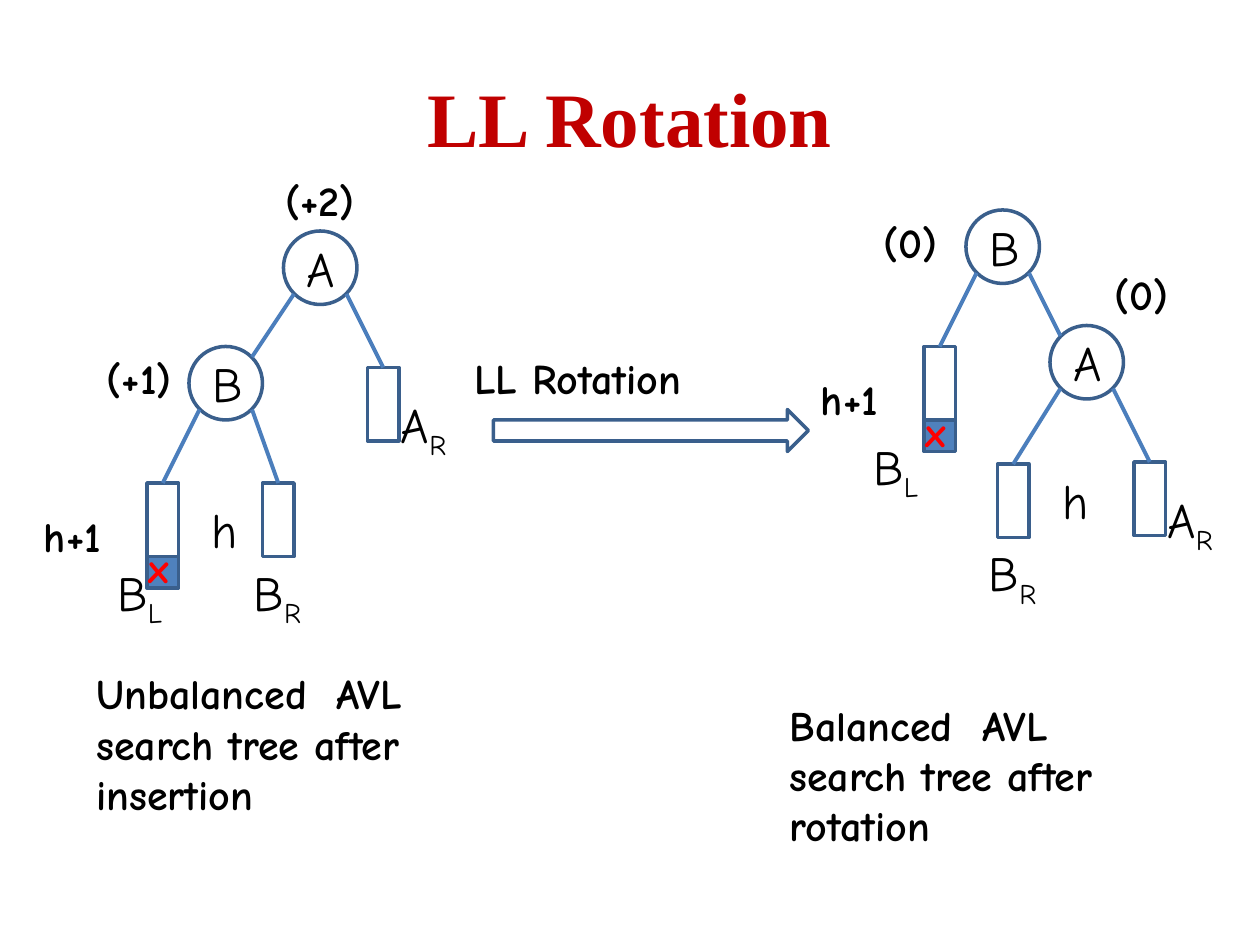
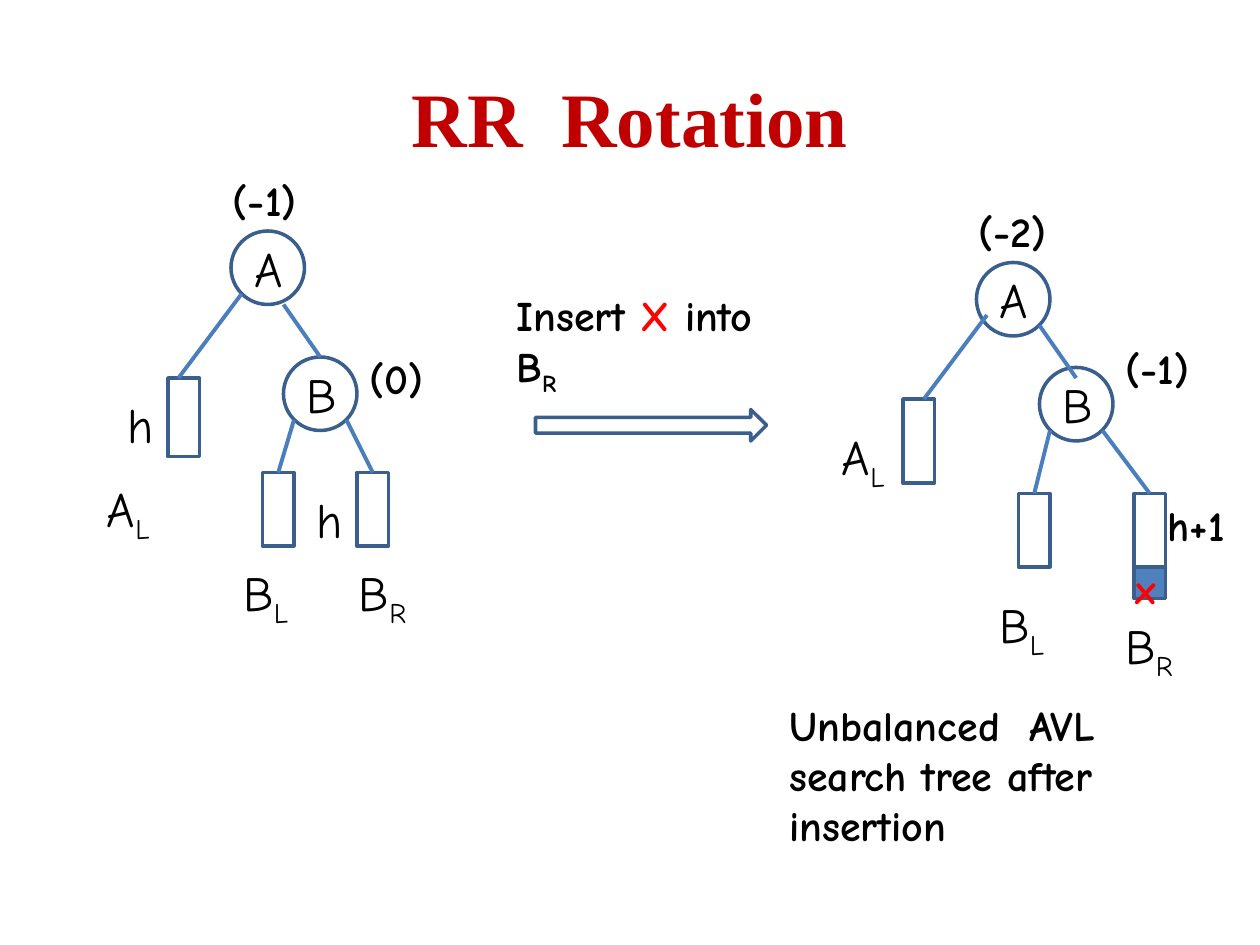
"""Build two slides on the LL and RR rotations of AVL search trees."""
from lxml.etree import SubElement
from pptx import Presentation
from pptx.dml.color import RGBColor
from pptx.enum.shapes import MSO_CONNECTOR, MSO_SHAPE
from pptx.enum.text import MSO_ANCHOR, MSO_AUTO_SIZE, PP_ALIGN
from pptx.oxml.ns import qn
from pptx.util import Inches, Pt

TITLE_RED = RGBColor(0xC0, 0x00, 0x00)
MARK_RED = RGBColor(0xFF, 0x00, 0x00)
BLACK = RGBColor(0x00, 0x00, 0x00)
MARK_BLUE = RGBColor(0x4F, 0x81, 0xBD)
OUTLINE = RGBColor(0x3A, 0x5F, 0x8C)
EDGE = RGBColor(0x4B, 0x7E, 0xBC)
TITLE_FONT = "Times New Roman"
BODY_FONT = "Comic Neue"

prs = Presentation()
prs.slide_width, prs.slide_height = Inches(10), Inches(7.5)
COL = prs.slide_width / 120
ROW = prs.slide_height / 90

NODE = 7
BOX_W = 3
LABEL_W = 10
CAPTION_W, CAPTION_H = 38, 15.75
STEP_W = 26

SLIDES = [
    {
        "title": "LL Rotation",
        "arrow": (47, 39, 30, 4),
        "step": (44, 33, 6, [("LL Rotation", BLACK, False)]),
        "nodes": [("A", 27, 22), ("B", 18, 33), ("B", 92, 20), ("A", 100, 31)],
        "boxes": [(35, 35, 7), (25, 46, 7), (14, 46, 7),
                  (88, 33, 7), (95, 44.2, 7), (108, 44, 7)],
        "marks": [(14, 53), (88, 40)],
        "edges": [(28, 28, 24, 34), (33, 28, 36.5, 35),
                  (19, 39, 15.5, 46), (24, 39, 26.5, 46),
                  (93, 26, 89.5, 33), (98, 26, 101, 32),
                  (101, 37, 96.5, 44.2), (106, 37, 109.5, 44)],
        "subtrees": [("A", "R", 37, 37), ("B", "L", 10, 53), ("B", "R", 23, 53),
                     ("A", "R", 110, 46), ("B", "R", 93, 51.1), ("B", "L", 82, 41)],
        "heights": [(19, 47), (100, 44.2)],
        "values": [("(+2)", 26, 16), ("(+1)", 9, 33), ("h+1", 3, 48),
                   ("(0)", 83, 20), ("(0)", 105, 25), ("h+1", 77, 35)],
        "crosses": [(13, 51), (87, 38)],
        "captions": [("Unbalanced  AVL search tree after insertion", 8, 63),
                     ("Balanced  AVL search tree after rotation", 74, 66)],
    },
    {
        "title": "RR  Rotation",
        "arrow": (51, 39, 22, 3),
        "step": (48, 27, 10.9, [("Insert ", BLACK, False), ("X ", MARK_RED, False),
                                ("into B", BLACK, False), ("R", BLACK, True)]),
        "nodes": [("A", 22, 22), ("B", 27, 34), ("A", 93, 25), ("B", 99, 35)],
        "boxes": [(16, 36, 7.5), (25, 45, 7), (34, 45, 7),
                  (86, 38, 8), (97, 47, 7), (108, 47, 7)],
        "marks": [(108, 54)],
        "edges": [(23, 28, 17, 36), (27, 29, 30.5, 34),
                  (28, 40, 26.5, 45), (33, 40, 35.5, 45),
                  (94, 30, 88, 38), (99, 31, 102.5, 36),
                  (100, 41, 98.5, 47), (105, 41, 109.5, 47)],
        "subtrees": [("A", "L", 9, 45), ("B", "L", 22, 53), ("B", "R", 33, 53),
                     ("A", "L", 79, 40), ("B", "L", 94, 56), ("B", "R", 106, 58)],
        "heights": [(11, 37), (29, 46)],
        "values": [("(-1)", 21, 16), ("(0)", 34, 33),
                   ("(-2)", 92, 19), ("(-1)", 106, 32), ("h+1", 110, 47)],
        "crosses": [(107, 53)],
        "captions": [("Unbalanced  AVL search tree after insertion", 74, 66)],
    },
]


def add_outline(s, kind, x, y, w, h):
    sp = s.shapes.add_shape(kind, int(x * COL), int(y * ROW), int(w * COL), int(h * ROW))
    sp.shadow.inherit = False
    sp.fill.background()
    sp.line.color.rgb = OUTLINE
    sp.line.width = Pt(2)
    return sp


def add_text(s, x, y, w, h, runs, size=24, bold=True):
    sp = s.shapes.add_textbox(int(x * COL), int(y * ROW), int(w * COL), int(h * ROW))
    tf = sp.text_frame
    tf.word_wrap = True
    tf.auto_size = MSO_AUTO_SIZE.SHAPE_TO_FIT_TEXT
    for text, color, subscript in runs:
        r = tf.paragraphs[0].add_run()
        r.text = text
        r.font.name, r.font.size, r.font.bold = BODY_FONT, Pt(size), bold
        r.font.color.rgb = color
        if subscript:
            r.font._element.set("baseline", "-25000")


for spec_of_slide in SLIDES:
    d = spec_of_slide
    s = prs.slides.add_slide(prs.slide_layouts[5])

    title = s.shapes.title
    title.left, title.top = Inches(0.5), Inches(0.3)
    title.width, title.height = Inches(9), Inches(1.25)
    title.text_frame.vertical_anchor = MSO_ANCHOR.MIDDLE
    p = title.text_frame.paragraphs[0]
    p.alignment = PP_ALIGN.CENTER
    r = p.add_run()
    r.text = d["title"]
    r.font.name, r.font.size, r.font.bold = TITLE_FONT, Pt(44), True
    r.font.color.rgb = TITLE_RED

    add_outline(s, MSO_SHAPE.RIGHT_ARROW, *d["arrow"])
    x, y, h, runs = d["step"]
    add_text(s, x, y, STEP_W, h, runs)

    for x, y in d["marks"]:
        sp = add_outline(s, MSO_SHAPE.RECTANGLE, x, y, BOX_W, BOX_W)
        sp.fill.solid()
        sp.fill.fore_color.rgb = MARK_BLUE
    for x, y, h in d["boxes"]:
        add_outline(s, MSO_SHAPE.RECTANGLE, x, y, BOX_W, h)

    for name, x, y in d["nodes"]:
        sp = add_outline(s, MSO_SHAPE.OVAL, x, y, NODE, NODE)
        sp.text_frame.vertical_anchor = MSO_ANCHOR.MIDDLE
        p = sp.text_frame.paragraphs[0]
        p.alignment = PP_ALIGN.CENTER
        r = p.add_run()
        r.text = name
        r.font.name, r.font.size = BODY_FONT, Pt(28)
        r.font.color.rgb = BLACK

    for x1, y1, x2, y2 in d["edges"]:
        cx = s.shapes.add_connector(MSO_CONNECTOR.STRAIGHT, int(x1 * COL), int(y1 * ROW),
                                    int(x2 * COL), int(y2 * ROW))
        cx.line.color.rgb = EDGE
        cx.line.width = Pt(2.25)
        SubElement(cx._element.spPr, qn("a:effectLst"))

    for name, side, x, y in d["subtrees"]:
        add_text(s, x, y, LABEL_W, 6.9, [(name, BLACK, False), (side, BLACK, True)], 28, False)
    for x, y in d["heights"]:
        add_text(s, x, y, LABEL_W, 6.9, [("h", BLACK, False)], 28, False)
    for text, x, y in d["values"]:
        add_text(s, x, y, LABEL_W, 6, [(text, BLACK, False)])
    for x, y in d["crosses"]:
        add_text(s, x, y, 6, 6, [("x", MARK_RED, False)])
    for text, x, y in d["captions"]:
        add_text(s, x, y, CAPTION_W, CAPTION_H, [(text, BLACK, False)])

prs.save("out.pptx")
